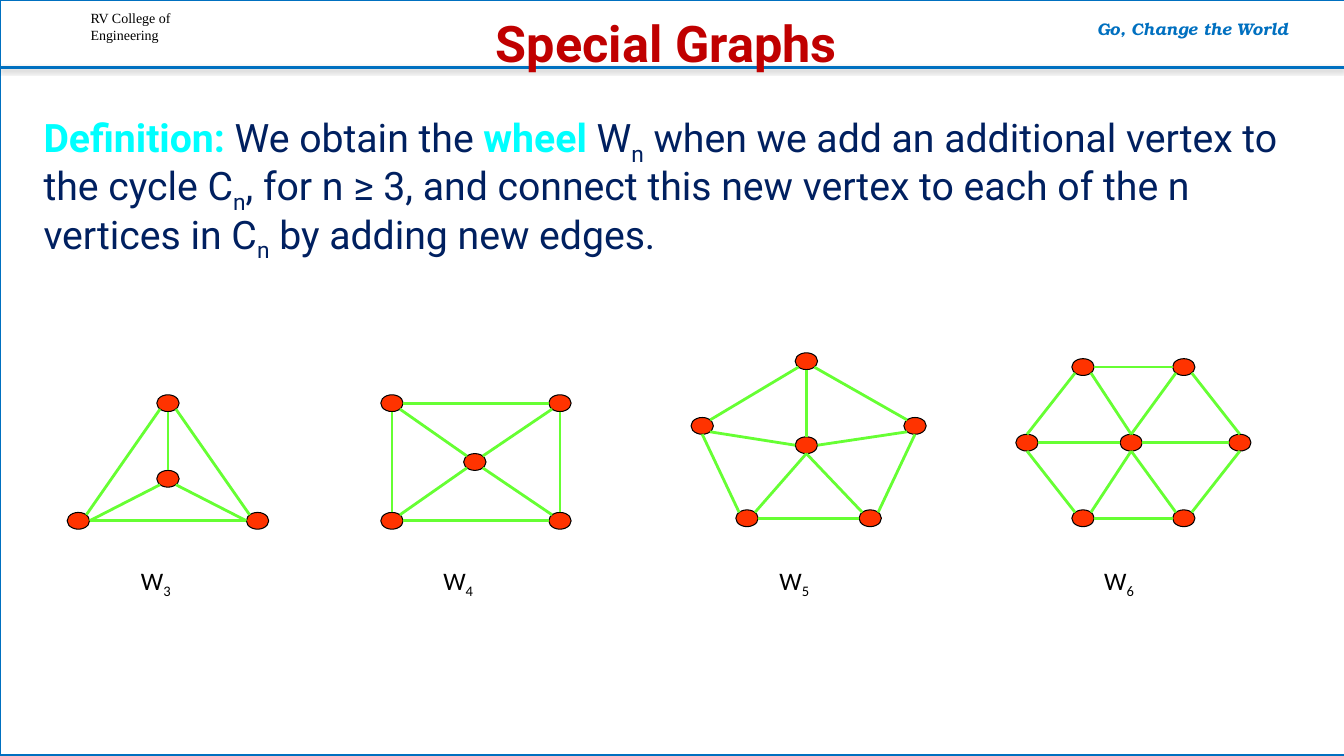
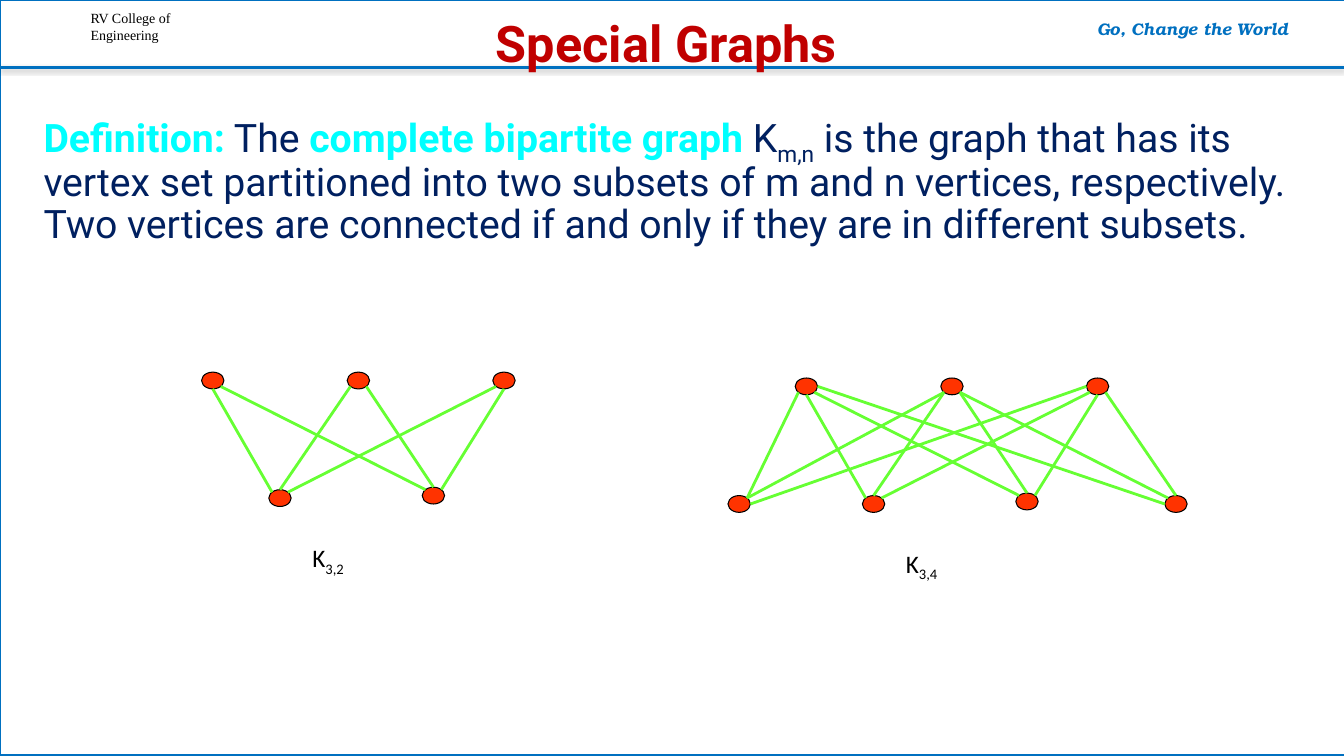
from dataclasses import dataclass
from math import cos, radians, sin

from lxml.etree import SubElement
from pptx import Presentation
from pptx.dml.color import RGBColor
from pptx.enum.shapes import MSO_CONNECTOR, MSO_SHAPE
from pptx.enum.text import MSO_ANCHOR, MSO_AUTO_SIZE, PP_ALIGN
from pptx.oxml.ns import qn
from pptx.util import Inches, Pt


@dataclass(frozen=True)
class Theme:
    white: str = "FFFFFF"
    black: str = "000000"
    blue: str = "0070C0"
    title_red: str = "C00000"
    navy: str = "002060"
    cyan: str = "00FFFF"
    vertex: str = "FF3300"
    edge: str = "66FF33"
    title_size: float = 36
    body_size: float = 28
    label_size: float = 18
    motto_size: float = 12
    college_size: float = 10
    line_width: float = 2
    vertex_line_width: float = 0.75


theme = Theme()

FORMATS = {
    "college": {"name": "Times New Roman", "size": Pt(theme.college_size), "color": theme.black},
    "motto": {"name": "TeX Gyre Bonum", "size": Pt(theme.motto_size), "color": theme.blue,
              "bold": True, "italic": True},
    "title": {"name": "Roboto", "size": Pt(theme.title_size), "color": theme.title_red, "bold": True},
    "plain": {"name": "Roboto", "size": Pt(theme.body_size), "color": theme.navy, "bold": False},
    "label": {"name": "Calibri", "size": Pt(theme.label_size), "color": theme.black},
}
FORMATS["key"] = {**FORMATS["plain"], "color": theme.cyan, "bold": True}
FORMATS["plain sub"] = {**FORMATS["plain"], "baseline": "-25000"}
FORMATS["label sub"] = {**FORMATS["label"], "baseline": "-25000"}

deck = Presentation()
deck.slide_width, deck.slide_height = Inches(13.33), Inches(7.5)
COLUMN, ROW = deck.slide_width / 120, deck.slide_height / 90


def grid(*cells):
    return [round(cell * (ROW if i % 2 else COLUMN)) for i, cell in enumerate(cells)]


def write(frame, paragraphs, align=PP_ALIGN.LEFT, spacing=None):
    frame.word_wrap = True
    frame.auto_size = MSO_AUTO_SIZE.NONE
    for i, pieces in enumerate(paragraphs):
        paragraph = frame.add_paragraph() if i else frame.paragraphs[0]
        paragraph.alignment = align
        paragraph.line_spacing = spacing
        for words, role in pieces:
            run = paragraph.add_run()
            run.text = words
            for key, value in FORMATS[role].items():
                if key == "color":
                    run.font.color.rgb = RGBColor.from_string(value)
                elif key == "baseline":
                    run._r.get_or_add_rPr().set(key, value)
                else:
                    setattr(run.font, key, value)


layout = deck.slide_layouts.get_by_name("Title Only")
for holder in list(layout.placeholders)[1:]:
    holder.element.getparent().remove(holder.element)

wheels = [
    ("W", "3", (11.7, 66.7),
     [(7, 62), (23, 62), (15, 48), (15, 57)],
     "07-23 06-12 11-25 06-33 12-35 30-24"),
    ("W", "4", (38.7, 66.7),
     [(35, 62), (50, 62), (35, 48), (50, 48), (42.4, 55)],
     "00-24 26-32 34-10 06-12 07-43 41-25 47-33 45-11"),
    ("W", "5", (68.7, 66.7),
     [(66.7, 61.7), (77.7, 61.7), (62.7, 50.7), (81.7, 50.7), (72, 43), (72, 53)],
     "24-01 06-12 17-34 31-45 27-43 07-54 11-54 25-52 56-33 50-44"),
    ("W", "6", (97.7, 66.7),
     [(96.7, 61.7), (105.7, 61.7), (91.7, 52.7), (110.7, 52.7),
      (96.7, 43.7), (105.7, 43.7), (101, 52.7)],
     "24-01 06-12 17-34 30-55 20-43 46-52 07-64 11-64 26-62 66-32 60-45 60-53"),
]
small_vertices = [(25, 59.3), (38.7, 59), (19, 45.3), (32, 45.3), (45, 45.3)]
small_edges = "24-01 33-00 17-44 43-07 25-11 35-10"
bipartites = [
    ("K", "3,2", (27, 64), small_vertices, small_edges),
    ("K", "3,4", (80, 64.7),
     [(x + 53, y + 0.7) for x, y in small_vertices] + [(66, 60), (105, 60)],
     small_edges + " 57-23 57-33 56-42 26-62 35-61 60-45"),
]
topics = [
    ([("Definition:", "key"), (" We obtain the ", "plain"), ("wheel", "key"), (" W", "plain"),
      ("n", "plain sub"), (" when we add an additional vertex to the cycle C", "plain"),
      ("n", "plain sub"),
      (", for n ≥ 3, and connect this new vertex to each of the n vertices in C", "plain"),
      ("n", "plain sub"), (" by adding new edges.", "plain")], wheels),
    ([("Definition:", "key"), (" The ", "plain"), ("complete bipartite graph", "key"),
      (" K", "plain"), ("m,n", "plain sub"),
      (" is the graph that has its vertex set partitioned into two subsets of m and n vertices, "
       "respectively. Two vertices are connected if and only if they are in different subsets.",
       "plain")], bipartites),
]

for number, (definition, graphs) in enumerate(topics):
    slide = deck.slides.add_slide(layout)
    shapes = slide.shapes

    if number == 0:
        border = shapes.add_shape(MSO_SHAPE.RECTANGLE, *grid(0, -0.1, 120.4, 90))
        border.shadow.inherit = False
        border.fill.solid()
        border.fill.fore_color.rgb = RGBColor.from_string(theme.white)

        college = shapes.add_textbox(*grid(7.2, 0.6, 13.2, 5.3))
        write(college.text_frame, [[("RV College of", "college")], [("Engineering", "college")]])

        header_rule = shapes.add_connector(MSO_CONNECTOR.STRAIGHT, *grid(0, 8, 120, 8))
        for outlined in (border, header_rule):
            outlined.line.color.rgb = RGBColor.from_string(theme.blue)
            outlined.line.width = Pt(theme.line_width)
        effects = SubElement(header_rule.element.spPr, qn("a:effectLst"))
        shadow = SubElement(effects, qn("a:outerShdw"), blurRad=str(Pt(3.1)),
                            dist=str(Pt(1.6)), dir="5400000", rotWithShape="0")
        shade = SubElement(shadow, qn("a:srgbClr"), val=theme.black)
        SubElement(shade, qn("a:alpha"), val="38000")

        motto = shapes.add_textbox(*grid(93, 1.6, 27, 3.6))
        write(motto.text_frame, [[("Go, Change the World", "motto")]], PP_ALIGN.CENTER)

        for shared in (border, college, header_rule, motto):
            layout.shapes.element.append(shared.element)

    title = shapes.title
    title.left, title.top, title.width, title.height = grid(3, 0, 113, 11)
    title.text_frame.vertical_anchor = MSO_ANCHOR.MIDDLE
    write(title.text_frame, [[("Special Graphs", "title")]], PP_ALIGN.CENTER, 0.9)

    statement = shapes.add_textbox(*grid(3, 13, 115, 25))
    write(statement.text_frame, [definition], spacing=0.9)

    for family, order, corner, vertices, edges in graphs:
        label = shapes.add_textbox(*grid(*corner, 11.2, 4.8))
        write(label.text_frame, [[(family, "label"), (order, "label sub")]])

        graph = shapes.add_group_shape().shapes
        for x, y in vertices:
            vertex = graph.add_shape(MSO_SHAPE.FLOWCHART_CONNECTOR, *grid(x - 1, y - 1, 2, 2))
            vertex.shadow.inherit = False
            vertex.fill.solid()
            vertex.fill.fore_color.rgb = RGBColor.from_string(theme.vertex)
            vertex.line.color.rgb = RGBColor.from_string(theme.black)
            vertex.line.width = Pt(theme.vertex_line_width)

        for pair in edges.split():
            ends = []
            for index, site in pair.split("-"):
                x, y = vertices[int(index)]
                angle = radians(90 + 45 * int(site))
                ends += [x + cos(angle), y - sin(angle)]
            edge = graph.add_connector(MSO_CONNECTOR.STRAIGHT, *grid(*ends))
            edge.line.color.rgb = RGBColor.from_string(theme.edge)
            edge.line.width = Pt(theme.line_width)
            SubElement(edge.element.spPr, qn("a:effectLst"))

deck.save("out.pptx")
